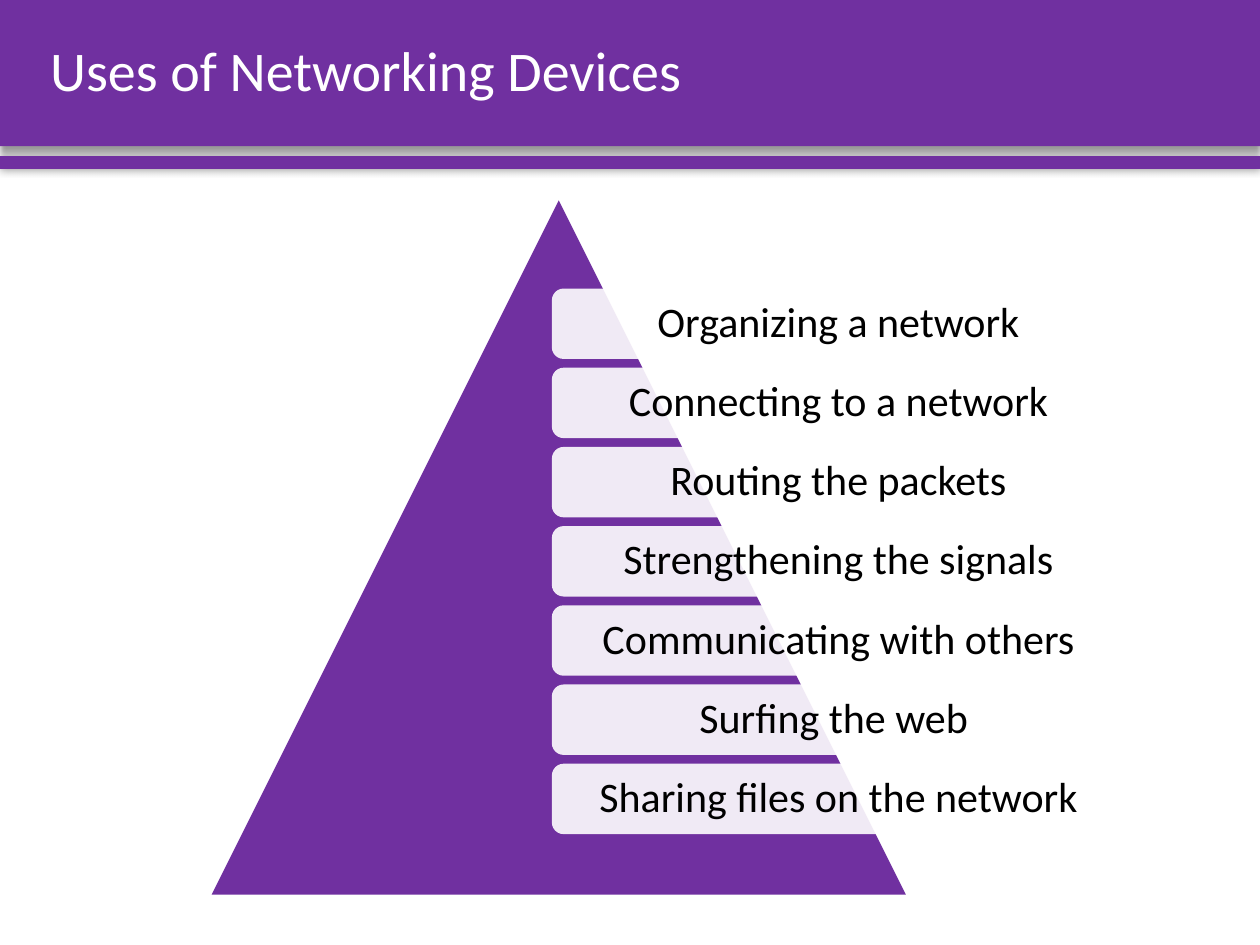
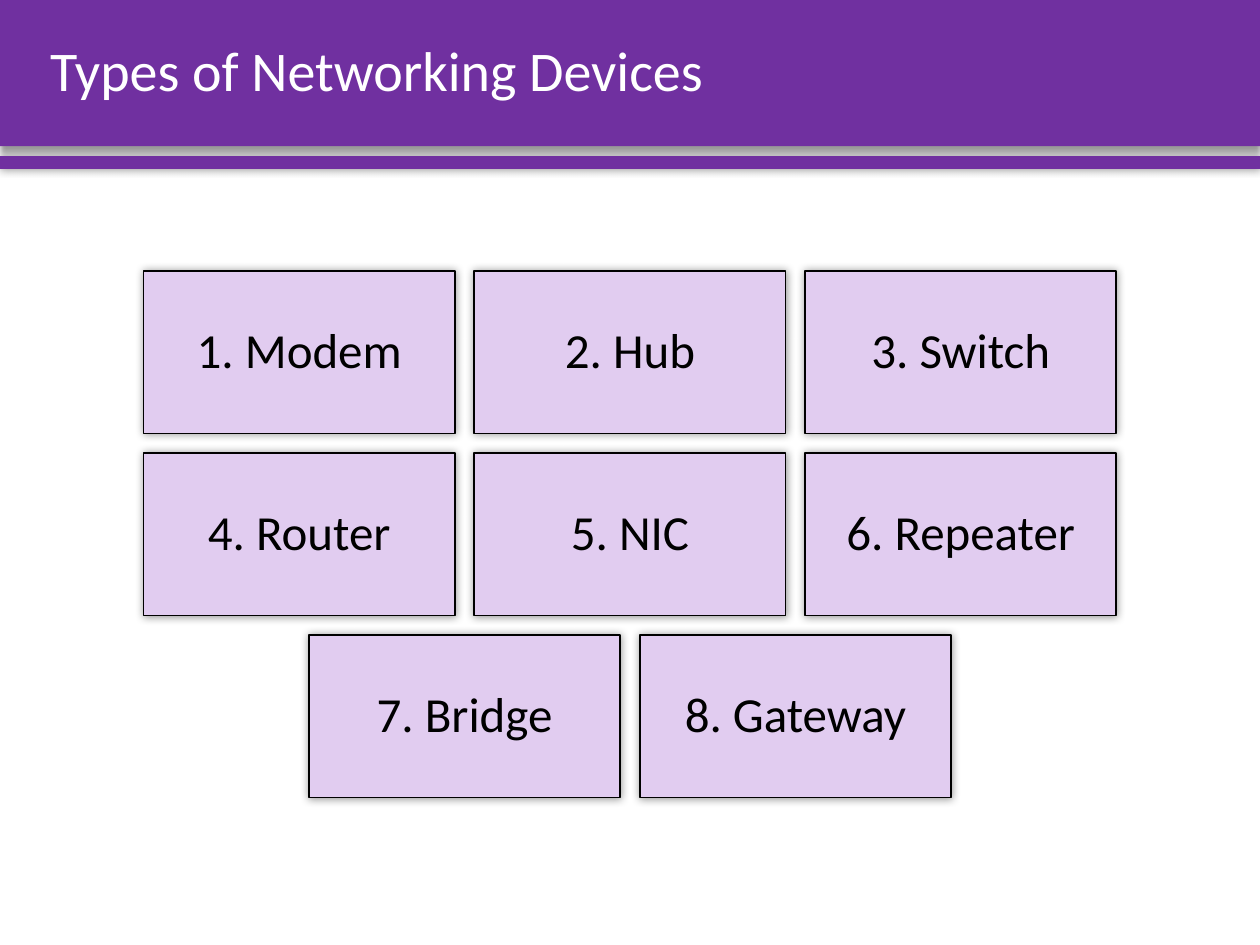
from dataclasses import dataclass
from typing import NamedTuple

from lxml import etree
from pptx import Presentation
from pptx.dml.color import RGBColor
from pptx.enum.shapes import MSO_SHAPE
from pptx.enum.text import MSO_ANCHOR, PP_ALIGN
from pptx.oxml.ns import qn
from pptx.util import Inches, Pt

RECTANGLE = MSO_SHAPE.RECTANGLE
ROUNDED = MSO_SHAPE.ROUNDED_RECTANGLE
TRIANGLE = MSO_SHAPE.ISOSCELES_TRIANGLE
MIDDLE = MSO_ANCHOR.MIDDLE
LEFT, CENTER = PP_ALIGN.LEFT, PP_ALIGN.CENTER

USES = [
    "Organizing a network",
    "Connecting to a network",
    "Routing the packets",
    "Strengthening the signals",
    "Communicating with others",
    "Surfing the web ",
    "Sharing files on the network",
]
DEVICES = ["Modem", "Hub", "Switch", "Router", "NIC", "Repeater", "Bridge", "Gateway"]


@dataclass(frozen=True)
class Theme:
    font: str = "Calibri"
    purple: str = "7030A0"
    lilac: str = "E1CCF0"
    white: str = "FFFFFF"
    black: str = "000000"
    title_size: int = 32
    use_size: int = 24
    device_size: int = 28
    line_spacing: float = 0.9


class Box(NamedTuple):
    """A region of the page, in inches."""
    left: float
    top: float
    width: float
    height: float

    def lengths(self):
        return [Inches(value) for value in self]


THEME = Theme()


def add_filled(page, kind, box, color, outline=None):
    shape = page.shapes.add_shape(kind, *box.lengths())
    shape.shadow.inherit = False
    shape.fill.solid()
    shape.fill.fore_color.rgb = RGBColor.from_string(color)
    if outline:
        shape.line.color.rgb = RGBColor.from_string(outline)
        shape.line.width = Pt(1)
    else:
        shape.line.fill.background()
    return shape


def set_opacity(parent, percent):
    """Add an alpha value to the colour element inside parent."""
    color = parent.find(".//" + qn("a:srgbClr"))
    etree.SubElement(color, qn("a:alpha"), val=str(percent * 1000))


def add_shadow(shape, blur, distance=0, angle=0):
    """Cast a 40% black shadow; blur and distance are in points."""
    effects = shape._element.spPr.find(qn("a:effectLst"))
    shadow = etree.SubElement(
        effects, qn("a:outerShdw"), blurRad=str(Pt(blur)), dist=str(Pt(distance)),
        dir=str(angle * 60000), algn="ctr", rotWithShape="0")
    etree.SubElement(shadow, qn("a:srgbClr"), val=THEME.black)
    set_opacity(shadow, 40)


def write(shape, text, size, color, align=CENTER):
    frame = shape.text_frame
    frame.word_wrap = True
    frame.vertical_anchor = MIDDLE
    para = frame.paragraphs[0]
    para.text = text
    para.alignment = align
    para.line_spacing = THEME.line_spacing
    para.font.name = THEME.font
    para.font.size = Pt(size)
    para.font.color.rgb = RGBColor.from_string(color)


def add_header(page, box, title):
    """Draw the title band with the thin stripe below it."""
    band = add_filled(page, RECTANGLE, box, THEME.purple)
    add_shadow(band, blur=4, distance=3, angle=90)
    stripe_box = Box(box.left, box.top + box.height + 0.08, box.width, 0.1)
    add_shadow(add_filled(page, RECTANGLE, stripe_box, THEME.purple), blur=5)
    title_box = Box(box.left + 0.3, box.top, box.width - 0.54, box.height)
    write(page.shapes.add_textbox(*title_box.lengths()), title,
          THEME.title_size, THEME.white, LEFT)


def add_use_list(page, box, uses):
    """Stack translucent bars with gaps of an eighth of a bar."""
    height = box.height / (len(uses) + (len(uses) - 1) / 8)
    for row, use in enumerate(uses):
        top = box.top + row * height * 9 / 8
        bar = add_filled(page, ROUNDED, Box(box.left, top, box.width, height), THEME.white)
        set_opacity(bar._element.spPr, 90)
        write(bar, use, THEME.use_size, THEME.black)


def add_pyramid(page, box, uses):
    add_filled(page, TRIANGLE, box, THEME.purple)
    add_use_list(page, Box(box.left + 2.7, box.top + 0.7, 4.55, 4.33), uses)


def add_device_grid(page, box, devices, columns=3):
    """Fill rows of equal cards; a short last row is centred."""
    width, height = 2.47, 1.29
    gap = (box.width - columns * width) / (columns - 1)
    for index, device in enumerate(devices):
        row, column = divmod(index, columns)
        missing = max(0, (row + 1) * columns - len(devices))
        left = box.left + (column + missing / 2) * (width + gap)
        top = box.top + row * (height + gap)
        card = add_filled(page, RECTANGLE, Box(left, top, width, height),
                          THEME.lilac, THEME.black)
        add_shadow(card, blur=5)
        write(card, f"{index + 1}. {device}", THEME.device_size, THEME.black)


def add_page(deck, title):
    page = deck.slides.add_slide(deck.slide_layouts[6])
    add_header(page, Box(0, 0, 10, 1.16), title)
    return page


def main():
    deck = Presentation()
    deck.slide_width, deck.slide_height = Inches(10), Inches(7.5)
    uses_page = add_page(deck, "Uses of Networking Devices")
    add_pyramid(uses_page, Box(1.68, 1.59, 5.51, 5.51), USES)
    types_page = add_page(deck, "Types of Networking Devices")
    add_device_grid(types_page, Box(1.14, 2.15, 7.72, 4.18), DEVICES)
    deck.save("out.pptx")


if __name__ == "__main__":
    main()
